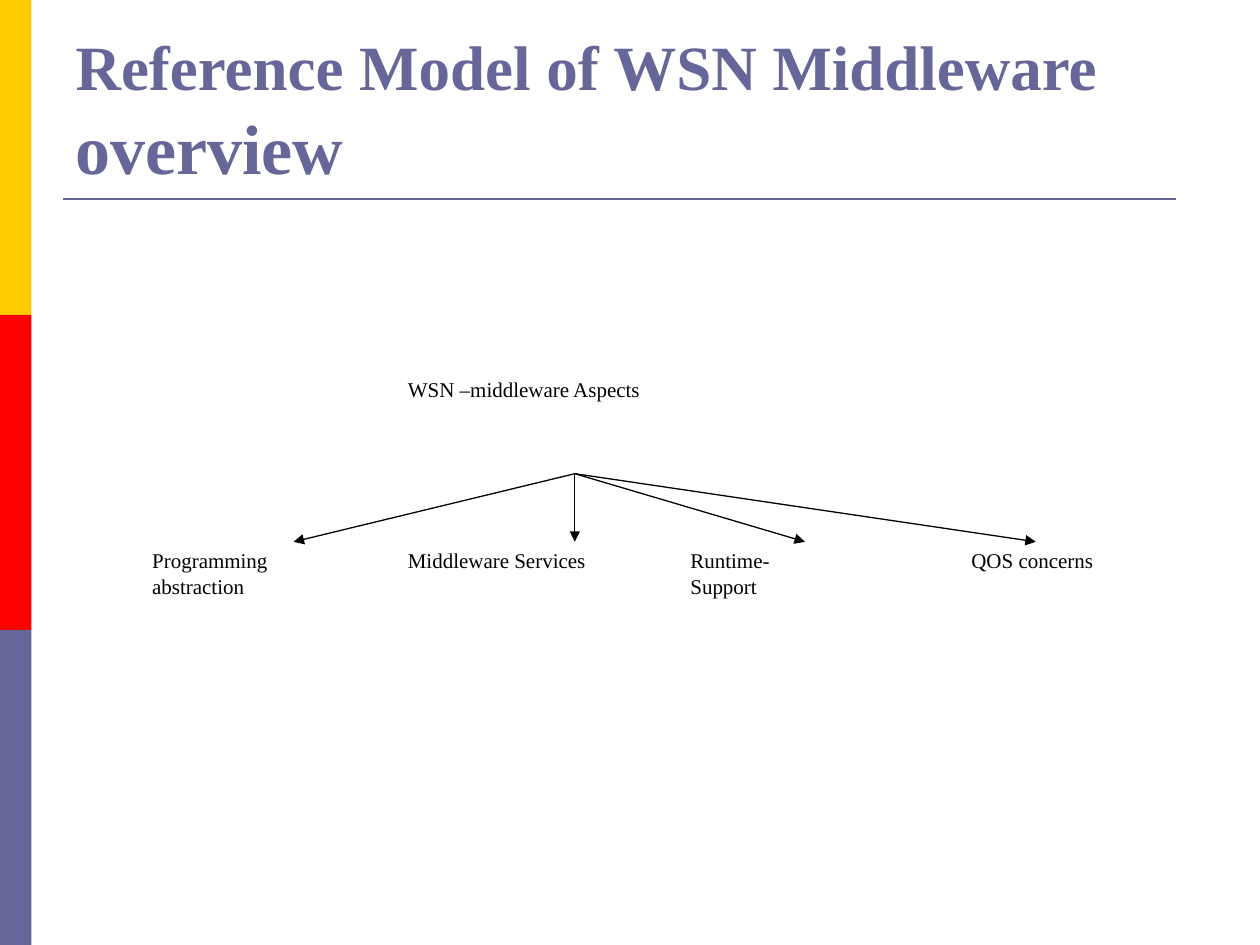
"""Build the WSN middleware reference model slide."""
import lxml.etree
import pptx
import pptx.dml.color
import pptx.enum.shapes
import pptx.enum.text
import pptx.oxml.ns
import pptx.util

Pt = pptx.util.Pt
RGB = pptx.dml.color.RGBColor.from_string
ANCHOR = pptx.enum.text.MSO_ANCHOR
ALIGN = pptx.enum.text.PP_ALIGN

THEME = {
    "font": "Times New Roman",
    "accent": "666699", "paper": "FFFFFF", "ink": "000000",
    "bands": ["FFCC00", "FF0000", "666699"],
    "title": 36, "title_end": 40, "label": 12,
    "rule": 1.5, "line": 0.75,
}
SIZE = (720, 540)
BAND_W = 18
TITLE = [("Reference Model of WSN Middleware", THEME["title"]),
         (" overview", THEME["title_end"])]
TITLE_BOX = (36, 21.6, 648, 90)
RULE = ((36, 113.75), (671.75, 113.75))
ROOT = (["WSN –middleware Aspects"], (226, 211.7, 219.6, 59))
ROW_TOP, ROW_H = 309.6, 98.5
ASPECTS = [
    (["Programming abstraction"], 79.9, 117.4, 167.8),
    (["Middleware Services"], 226, 117.4, 328.5),
    (["Runtime-", "Support"], 387.4, 102.2, 460),
    (["QOS concerns"], 548, 87.8, 591.9),
]
HUB = (328.5, 270.7)


def style(obj, values):
    for name, value in values.items():
        setattr(obj, name, value)


def set_font(font, size, color, bold=False):
    style(font, {"name": THEME["font"], "size": Pt(size), "bold": bold})
    font.color.rgb = RGB(color)


def set_frame(tf, anchor):
    style(tf, {"word_wrap": True, "vertical_anchor": anchor,
               "auto_size": pptx.enum.text.MSO_AUTO_SIZE.NONE,
               "margin_left": Pt(7.2), "margin_right": Pt(7.2),
               "margin_top": Pt(3.6), "margin_bottom": Pt(3.6)})


def add_rect(shapes, box, fill):
    sp = shapes.add_shape(pptx.enum.shapes.MSO_SHAPE.RECTANGLE, *map(Pt, box))
    sp.shadow.inherit = False
    sp.fill.solid()
    sp.fill.fore_color.rgb = RGB(fill)
    sp.line.fill.background()
    return sp


def add_label(shapes, lines, box):
    sp = add_rect(shapes, box, THEME["paper"])
    sp.line.color.rgb = RGB(THEME["paper"])
    sp.line.width = Pt(THEME["line"])
    tf = sp.text_frame
    set_frame(tf, ANCHOR.TOP)
    tf.text = "\n".join(lines)
    for p in tf.paragraphs:
        p.alignment = ALIGN.LEFT
        set_font(p.font, THEME["label"], THEME["ink"])
    return sp


def add_line(shapes, start, end, color, width, arrow=False):
    cx = shapes.add_connector(pptx.enum.shapes.MSO_CONNECTOR.STRAIGHT,
                              *map(Pt, start + end))
    cx.line.color.rgb = RGB(color)
    cx.line.width = Pt(width)
    qn = pptx.oxml.ns.qn
    if arrow:
        lxml.etree.SubElement(cx.line._get_or_add_ln(), qn("a:tailEnd"), type="triangle")
    lxml.etree.SubElement(cx._element.spPr, qn("a:effectLst"))
    return cx


def add_title(sp):
    style(sp, dict(zip(("left", "top", "width", "height"), map(Pt, TITLE_BOX))))
    set_frame(sp.text_frame, ANCHOR.BOTTOM)
    p = sp.text_frame.paragraphs[0]
    p.alignment = ALIGN.LEFT
    for text, size in TITLE:
        r = p.add_run()
        r.text = text
        set_font(r.font, size, THEME["accent"], True)


def main():
    prs = pptx.Presentation()
    prs.slide_width, prs.slide_height = map(Pt, SIZE)
    s = prs.slides.add_slide(prs.slide_layouts[5])
    add_title(s.shapes.title)

    band_h = SIZE[1] / len(THEME["bands"])
    for i, color in enumerate(THEME["bands"]):
        add_rect(s.shapes, (0, i * band_h, BAND_W, band_h), color)
    add_line(s.shapes, *RULE, THEME["accent"], THEME["rule"])

    tree = s.shapes.add_group_shape().shapes
    add_label(tree, *ROOT)
    boxes = [add_label(tree, lines, (left, ROW_TOP, width, ROW_H))
             for lines, left, width, _ in ASPECTS]
    for sp, (_, left, width, tip) in zip(boxes, ASPECTS):
        cx = add_line(tree, HUB, (tip, ROW_TOP), THEME["ink"], THEME["line"], True)
        if abs(left + width / 2 - tip) < 0.5:
            cx.end_connect(sp, 0)

    prs.save("out.pptx")


if __name__ == "__main__":
    main()
